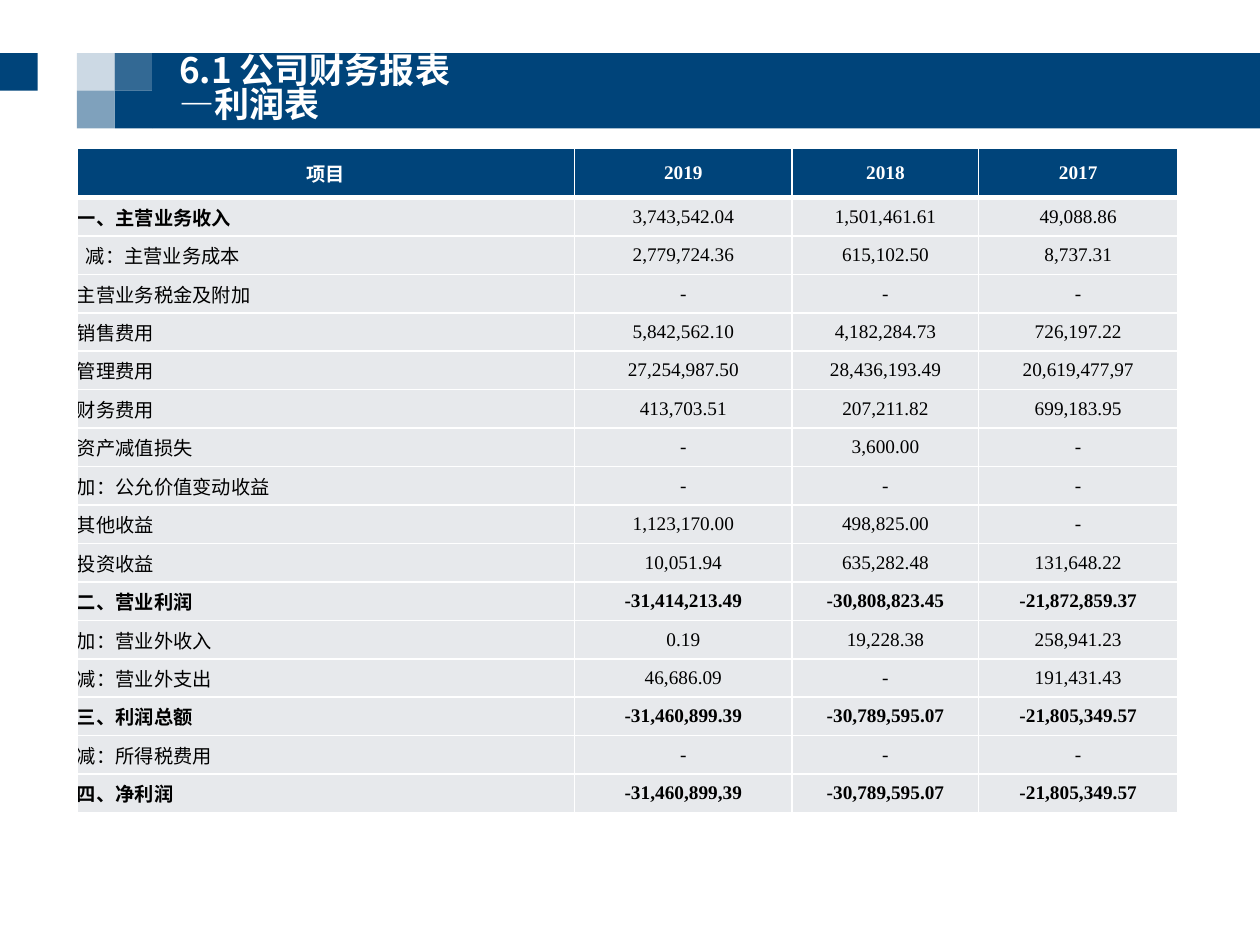
from lxml.etree import SubElement
from pptx import Presentation
from pptx.dml.color import RGBColor
from pptx.enum.shapes import MSO_SHAPE
from pptx.enum.text import MSO_ANCHOR, MSO_AUTO_SIZE, PP_ALIGN
from pptx.oxml import parse_xml
from pptx.oxml.ns import nsdecls, qn
from pptx.util import Cm, Pt

NAVY = RGBColor(0x00, 0x44, 0x7A)
PALE = RGBColor(0xE7, 0xE9, 0xEC)
WHITE = RGBColor(0xFF, 0xFF, 0xFF)
BLACK = RGBColor(0x00, 0x00, 0x00)

HEADINGS = ("项目", "2019", "2018", "2017")
# Label, figures for each year, bold label, bold figures
ITEMS = [
    ("一、主营业务收入", "3,743,542.04", "1,501,461.61", "49,088.86", True, False),
    ("减：主营业务成本", "2,779,724.36", "615,102.50", "8,737.31", False, False),
    ("主营业务税金及附加", "-", "-", "-", False, False),
    ("销售费用", "5,842,562.10", "4,182,284.73", "726,197.22", False, False),
    ("管理费用", "27,254,987.50", "28,436,193.49", "20,619,477,97", False, False),
    ("财务费用", "413,703.51", "207,211.82", "699,183.95", False, False),
    ("资产减值损失", "-", "3,600.00", "-", False, False),
    ("加：公允价值变动收益", "-", "-", "-", False, False),
    ("其他收益", "1,123,170.00", "498,825.00", "-", False, False),
    ("投资收益", "10,051.94", "635,282.48", "131,648.22", False, False),
    ("二、营业利润", "-31,414,213.49", "-30,808,823.45", "-21,872,859.37", True, True),
    ("加：营业外收入", "0.19", "19,228.38", "258,941.23", False, False),
    ("减：营业外支出", "46,686.09", "-", "191,431.43", False, False),
    ("三、利润总额", "-31,460,899.39", "-30,789,595.07", "-21,805,349.57", True, True),
    ("减：所得税费用", "-", "-", "-", False, False),
    ("四、净利润", "-31,460,899,39", "-30,789,595.07", "-21,805,349.57", True, True),
]
INDENTED_ROW = 1
COLUMN_WIDTHS = (10.03, 4.39, 3.76, 4.01)
HEADER_HEIGHT, BODY_HEIGHT = 1.0, 12.41


class StatementSlide:
    LATIN, CJK = "Times New Roman", "Noto Sans CJK SC"

    def __init__(self, deck):
        self.slide = deck.slides.add_slide(deck.slide_layouts[5])

    def styled_run(self, paragraph, text, latin, size, colour, bold):
        run = paragraph.add_run()
        run.text = text
        style = {"name": latin, "size": Pt(size), "bold": bold}
        for key, value in style.items():
            setattr(run.font, key, value)
        run.font.color.rgb = colour
        SubElement(run.font._element, qn("a:ea"), typeface=self.CJK)

    def block(self, left, top, width, height, opacity=100):
        block = self.slide.shapes.add_shape(
            MSO_SHAPE.RECTANGLE, Cm(left), Cm(top), Cm(width), Cm(height))
        block.shadow.inherit = False
        block.line.fill.background()
        block.fill.solid()
        block.fill.fore_color.rgb = NAVY
        if opacity < 100:
            colour = block._element.spPr.find(qn("a:solidFill"))[0]
            SubElement(colour, qn("a:alpha"), val=str(opacity * 1000))

    def title(self, lines, left, top, width, height):
        title = self.slide.shapes.title
        place = {"left": left, "top": top, "width": width, "height": height}
        for key, value in place.items():
            setattr(title, key, Cm(value))
        frame = title.text_frame
        layout = {"word_wrap": True, "auto_size": MSO_AUTO_SIZE.NONE,
                  "vertical_anchor": MSO_ANCHOR.MIDDLE,
                  "margin_left": Cm(0.23), "margin_right": Cm(0.23),
                  "margin_top": Cm(0.1), "margin_bottom": Cm(0.1)}
        for key, value in layout.items():
            setattr(frame, key, value)
        for number, line in enumerate(lines):
            paragraph = frame.add_paragraph() if number else frame.paragraphs[0]
            paragraph.alignment = PP_ALIGN.LEFT
            paragraph.line_spacing = 0.8
            self.styled_run(paragraph, line, self.CJK, 20, WHITE, True)
        # Bring the title in front of the band
        self.slide.shapes._spTree.append(title._element)

    def borders(self, cell, top, bottom):
        widths = {"lnL": 1, "lnR": 1, "lnT": top, "lnB": bottom}
        for position, (side, points) in enumerate(widths.items()):
            cell._tc.get_or_add_tcPr().insert(position, parse_xml(
                f'<a:{side} {nsdecls("a")} w="{Pt(points)}"><a:solidFill>'
                f'<a:srgbClr val="{WHITE}"/></a:solidFill></a:{side}>'))

    def cell(self, cell, text, fill, colour, bold, align, indent=0.0):
        margins = {"margin_left": Cm(indent), "margin_right": 0,
                   "margin_top": 0, "margin_bottom": 0,
                   "vertical_anchor": MSO_ANCHOR.MIDDLE}
        for key, value in margins.items():
            setattr(cell, key, value)
        cell.fill.solid()
        cell.fill.fore_color.rgb = fill
        paragraph = cell.text_frame.paragraphs[0]
        paragraph.alignment = align
        self.styled_run(paragraph, text, self.LATIN, 11, colour, bold)

    def statement(self, left, top):
        table = self.slide.shapes.add_table(
            len(ITEMS) + 1, len(HEADINGS), Cm(left), Cm(top),
            Cm(sum(COLUMN_WIDTHS)), Cm(HEADER_HEIGHT + BODY_HEIGHT)).table
        for column, width in zip(table.columns, COLUMN_WIDTHS):
            column.width = Cm(width)
        for row in table.rows:
            row.height = Cm(BODY_HEIGHT / len(ITEMS))
        table.rows[0].height = Cm(HEADER_HEIGHT)

        # Heading row, with a thick rule below
        for column, heading in enumerate(HEADINGS):
            cell = table.cell(0, column)
            self.cell(cell, heading, NAVY, WHITE, True, PP_ALIGN.CENTER)
            self.borders(cell, 1, 3)

        # Item rows
        for index, (*texts, bold_label, bold_figures) in enumerate(ITEMS):
            for column, text in enumerate(texts):
                cell = table.cell(index + 1, column)
                if column:
                    self.cell(cell, text, PALE, BLACK, bold_figures, PP_ALIGN.CENTER)
                else:
                    indent = 0.18 if index == INDENTED_ROW else 0
                    self.cell(cell, text, PALE, BLACK, bold_label, PP_ALIGN.LEFT, indent)
                self.borders(cell, 1 if index else 3, 1)


def main():
    deck = Presentation()
    deck.slide_width, deck.slide_height = Cm(25.4), Cm(19.05)
    page = StatementSlide(deck)

    # Title band: squares of one size leading into a bar
    side, left, top = 0.76, 1.55, 1.07
    page.block(0, top, side, side)
    for column, row, opacity in ((0, 0, 20), (0, 1, 50), (1, 0, 80), (1, 1, 100)):
        page.block(left + column * side, top + row * side, side, side, opacity)
    bar_left = left + 2 * side
    page.block(bar_left, top, 25.4 - bar_left, 2 * side)
    page.title(("6.1 公司财务报表", "—利润表"), 3.38, 0.86, 21.95, 1.93)

    # Income statement
    page.statement(left, 2.98)
    deck.save("out.pptx")


if __name__ == "__main__":
    main()
